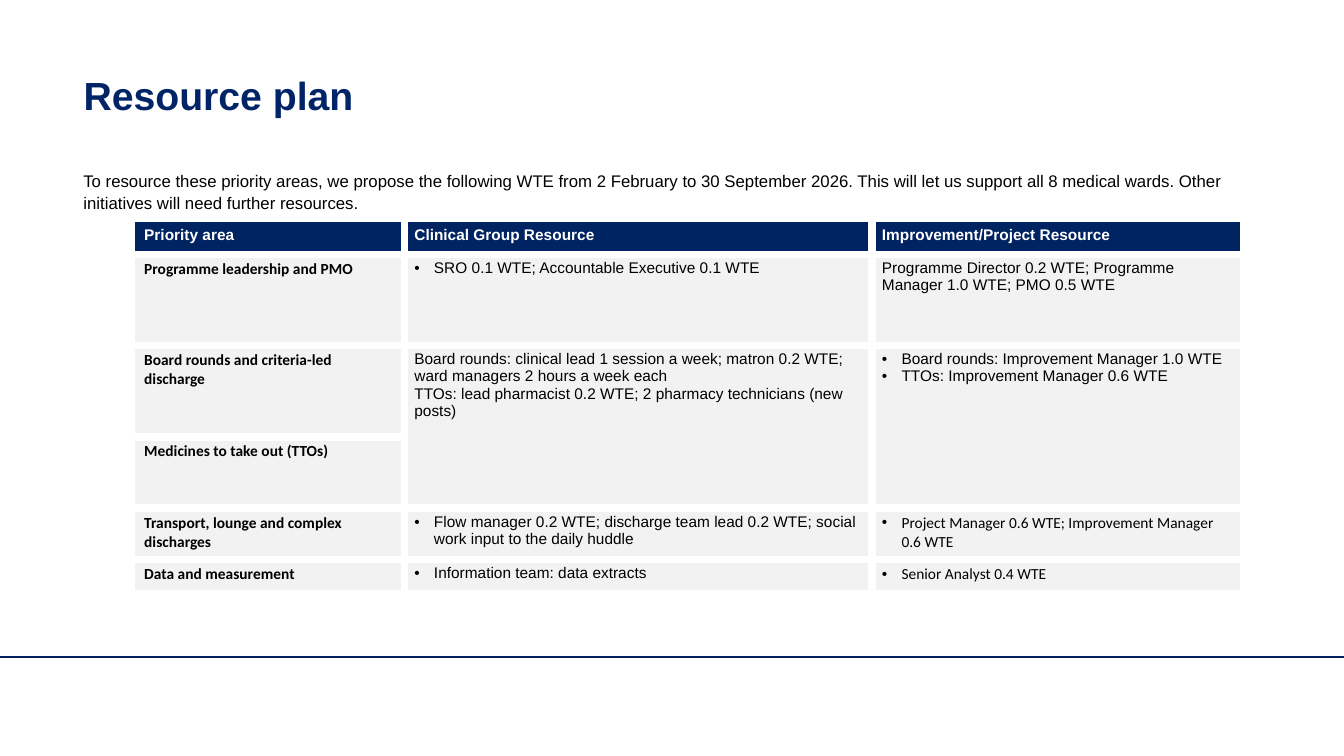
from dataclasses import dataclass

from lxml import etree
from pptx import Presentation
from pptx.dml.color import RGBColor
from pptx.enum import shapes, text
from pptx.oxml import ns
from pptx.util import Pt


@dataclass(frozen=True)
class Theme:
    title: str = "012467"
    header: str = "002362"
    rule: str = "002161"
    band: str = "F2F2F2"
    white: str = "FFFFFF"
    black: str = "000000"
    font: str = "Arial"
    label_font: str = "Calibri"
    title_size: float = 28
    body_size: float = 12
    table_size: float = 11
    gap: float = 6
    edge: float = 1


THEME = Theme()
WIDTH, HEIGHT = 960, 540
COLUMNS = (193, 334, 263.6)
ROWS = (23.4, 65.2, 65.2, 50.8, 36.6, 22)
BULLET = "• "
BULLET_INDENT = 14

INTRO = ("To resource these priority areas, we propose the following WTE from "
         "2 February to 30 September 2026. This will let us support all 8 medical "
         "wards. Other initiatives will need further resources.")

PLAN = (
    ("Priority area", "Clinical Group Resource", "Improvement/Project Resource"),
    ("Programme leadership and PMO",
     "• SRO 0.1 WTE; Accountable Executive 0.1 WTE",
     "Programme Director 0.2 WTE; Programme Manager 1.0 WTE; PMO 0.5 WTE"),
    ("Board rounds and criteria-led discharge",
     "Board rounds: clinical lead 1 session a week; matron 0.2 WTE; "
     "ward managers 2 hours a week each\n"
     "TTOs: lead pharmacist 0.2 WTE; 2 pharmacy technicians (new posts)",
     "• Board rounds: Improvement Manager 1.0 WTE\n"
     "• TTOs: Improvement Manager 0.6 WTE"),
    ("Medicines to take out (TTOs)", "", ""),
    ("Transport, lounge and complex discharges",
     "• Flow manager 0.2 WTE; discharge team lead 0.2 WTE; "
     "social work input to the daily huddle",
     "• Project Manager 0.6 WTE; Improvement Manager 0.6 WTE"),
    ("Data and measurement",
     "• Information team: data extracts",
     "• Senior Analyst 0.4 WTE"),
)


def place(s, box):
    s.left, s.top, s.width, s.height = map(Pt, box)


def style(p, size, color, font=THEME.font, bold=False):
    for r in p.runs:
        r.font.size, r.font.name, r.font.bold = Pt(size), font, bold
        r.font.color.rgb = RGBColor.from_string(color)


def add_bullet(p):
    pPr = p._p.get_or_add_pPr()
    pPr.set("marL", str(Pt(BULLET_INDENT)))
    pPr.set("indent", str(-Pt(BULLET_INDENT)))
    font = etree.SubElement(pPr, ns.qn("a:buFont"))
    font.set("typeface", THEME.font)
    etree.SubElement(pPr, ns.qn("a:buChar")).set("char", BULLET.strip())


def add_borders(cell, widths):
    tcPr = cell._tc.get_or_add_tcPr()
    for i, (side, width) in enumerate(zip("LRTB", widths)):
        line = etree.Element(ns.qn(f"a:ln{side}"), w=str(Pt(width)))
        fill = etree.SubElement(line, ns.qn("a:solidFill"))
        etree.SubElement(fill, ns.qn("a:srgbClr")).set("val", THEME.white)
        tcPr.insert(i, line)


def add_title(slide, box):
    s = slide.shapes.title
    place(s, box)
    tf = s.text_frame
    tf.text = "Resource plan"
    tf.vertical_anchor = text.MSO_ANCHOR.MIDDLE
    p = tf.paragraphs[0]
    p.alignment = text.PP_ALIGN.LEFT
    p.line_spacing = 0.9
    style(p, THEME.title_size, THEME.title, bold=True)


def add_intro(slide, box):
    tf = slide.shapes.add_textbox(*map(Pt, box)).text_frame
    tf.word_wrap = True
    tf.text = INTRO
    p = tf.paragraphs[0]
    p.line_spacing = 1.07
    style(p, THEME.body_size, THEME.black)


def fill_cell(cell, row, col, content):
    header, label = row == 0, col == 0
    calibri = not header and (label or (col == 2 and row >= 4))
    tf = cell.text_frame
    tf.text = content.replace(BULLET, "")
    for p, line in zip(tf.paragraphs, content.split("\n")):
        if line.startswith(BULLET):
            add_bullet(p)
        style(p, THEME.table_size, THEME.white if header else THEME.black,
              THEME.label_font if calibri else THEME.font, header or label)
    cell.fill.solid()
    cell.fill.fore_color.rgb = RGBColor.from_string(
        THEME.header if header else THEME.band)
    # Wide white gaps inside the grid, thin lines round its edge
    outer = (col == 0, col == len(COLUMNS) - 1, row == 0, row == len(ROWS) - 1)
    add_borders(cell, [THEME.edge if o else THEME.gap for o in outer])


def add_plan(slide, left, top):
    table = slide.shapes.add_table(
        len(ROWS), len(COLUMNS), Pt(left), Pt(top),
        Pt(sum(COLUMNS)), Pt(sum(ROWS))).table
    table.horz_banding = False
    for column, width in zip(table.columns, COLUMNS):
        column.width = Pt(width)
    for row, height in zip(table.rows, ROWS):
        row.height = Pt(height)
    for i, contents in enumerate(PLAN):
        for j, content in enumerate(contents):
            fill_cell(table.cell(i, j), i, j, content)
    # Board rounds and TTOs share their resources
    for j in (1, 2):
        table.cell(2, j).merge(table.cell(3, j))


def add_footer_rule(slide, top):
    s = slide.shapes.add_connector(
        shapes.MSO_CONNECTOR.STRAIGHT, 0, Pt(top), Pt(WIDTH), Pt(top))
    s.line.color.rgb = RGBColor.from_string(THEME.rule)
    s.line.width = Pt(1)
    etree.SubElement(s._element.spPr, ns.qn("a:effectLst"))


def main():
    prs = Presentation()
    prs.slide_width, prs.slide_height = Pt(WIDTH), Pt(HEIGHT)
    slide = prs.slides.add_slide(prs.slide_layouts[5])
    add_footer_rule(slide, 469.4)
    add_title(slide, (52.5, 24, 853, 92))
    add_intro(slide, (52.5, 117.4, 853, 41))
    add_plan(slide, 95.8, 158.4)
    prs.save("out.pptx")


if __name__ == "__main__":
    main()
